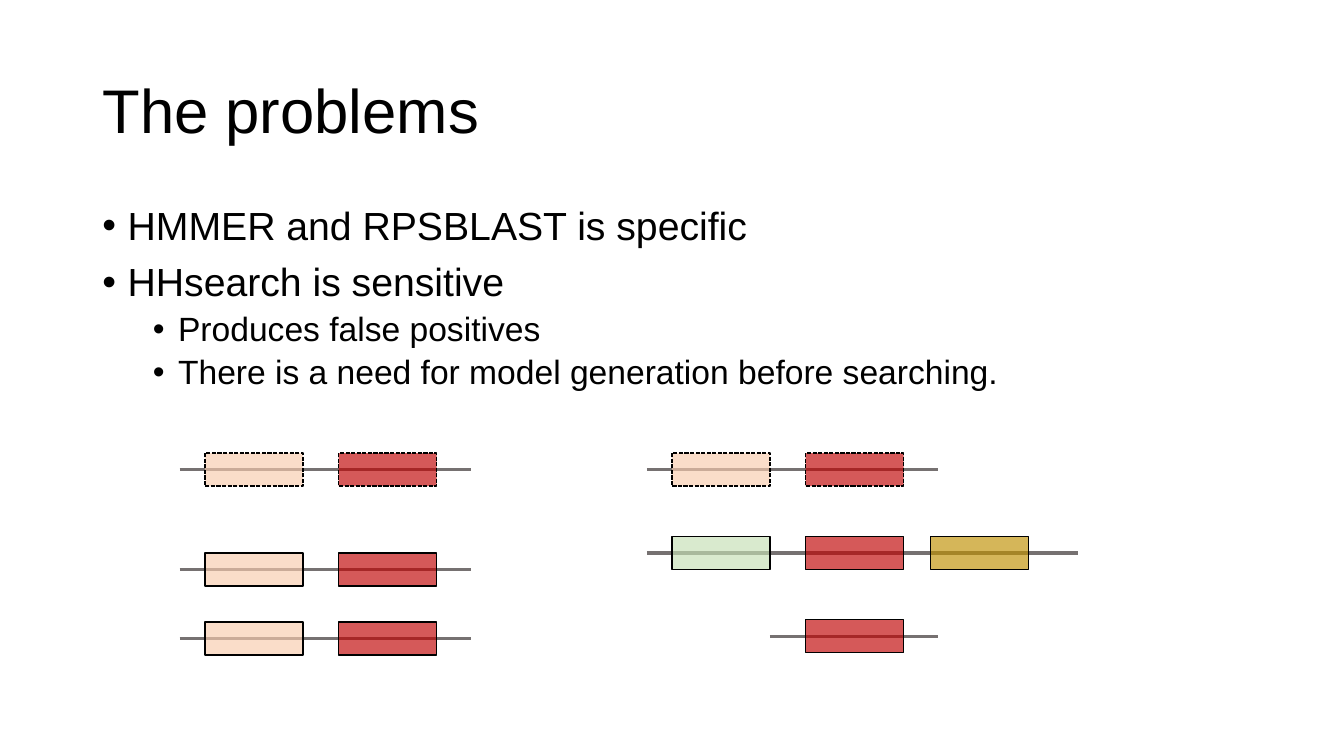
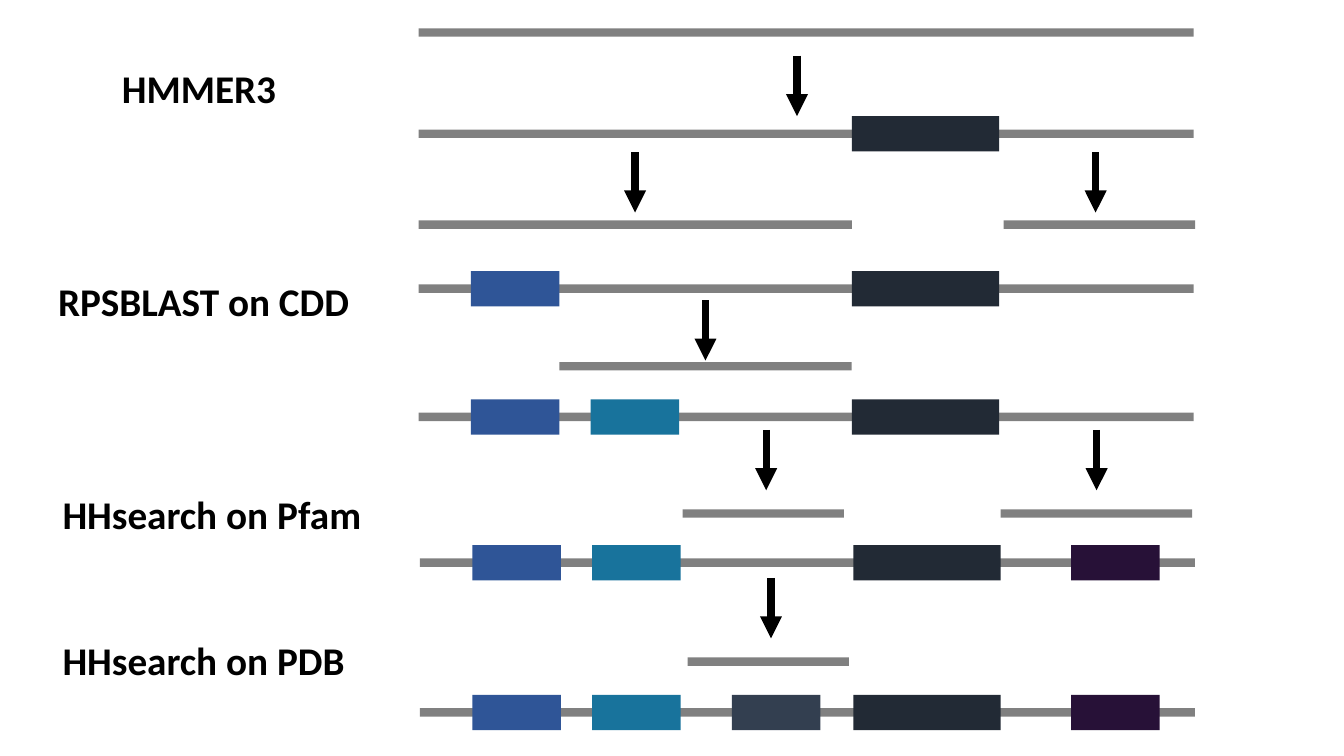
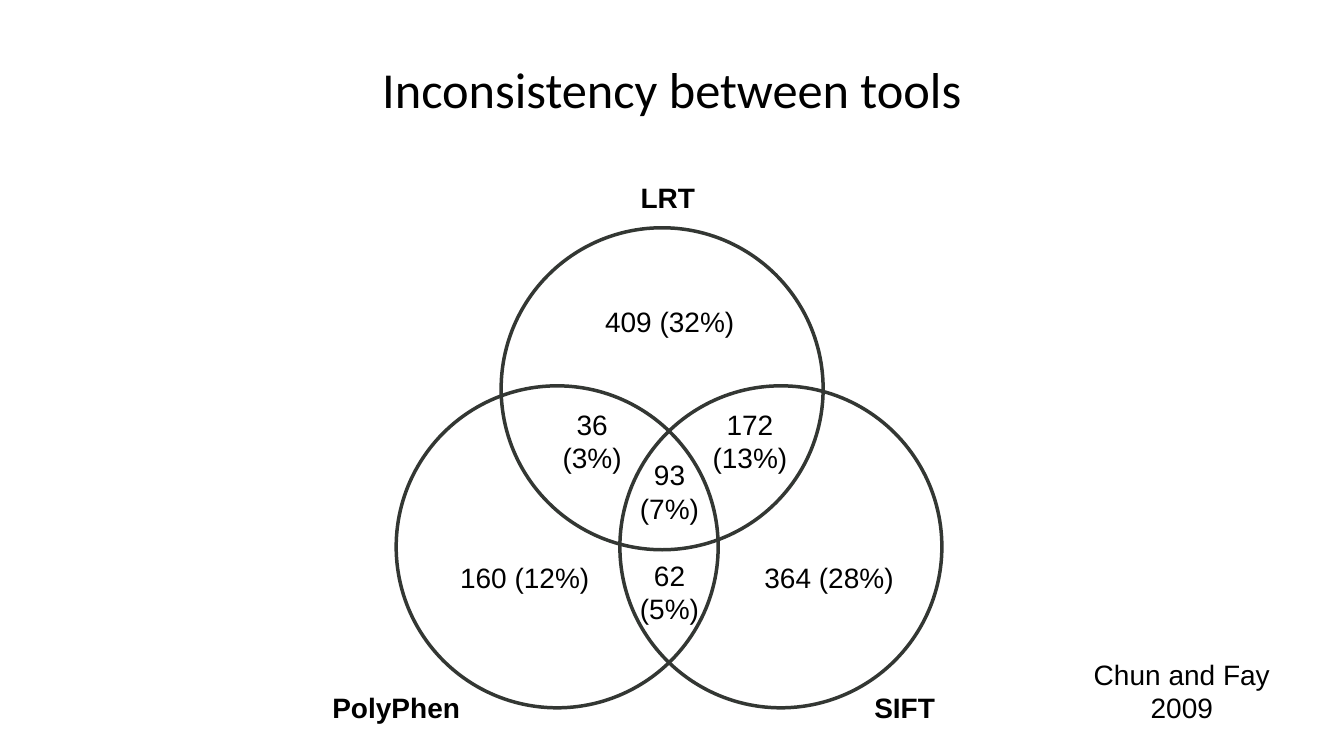
from lxml.etree import SubElement
from pptx import Presentation
from pptx.dml.color import RGBColor
from pptx.enum.dml import MSO_LINE
from pptx.enum.shapes import MSO_CONNECTOR, MSO_SHAPE
from pptx.enum.text import MSO_ANCHOR as Anchor
from pptx.enum.text import MSO_AUTO_SIZE as AutoSize
from pptx.enum.text import PP_ALIGN as Align
from pptx.oxml.ns import qn
from pptx.util import Pt

COLORS = {
    "black": "000000", "strand": "767171", "gray": "808080", "ring": "333733",
    "peach": "F8CBAD", "red": "C00000", "green": "C5E0B4", "gold": "BF9000",
    "night": "222A35", "blue": "2F5597", "teal": "18739C",
    "purple": "271137", "slate": "333F50",
}
TITLE_AND_BODY, TITLE_ONLY, BLANK = 1, 5, 6


def color(name):
    return RGBColor.from_string(COLORS[name])


def write(para, text, font="Arial", size=20, bold=False, align=Align.LEFT,
          spacing=None, before=0):
    """Fill a paragraph with one formatted span."""
    para.alignment = align
    para.space_before = Pt(before)
    if spacing:
        para.line_spacing = spacing
    span = para.add_run()
    span.text = text
    span.font.name, span.font.size, span.font.bold = font, Pt(size), bold
    span.font.color.rgb = color("black")


def add_bullet(para, left, hanging):
    properties = para._p.get_or_add_pPr()
    properties.set("marL", str(Pt(left)))
    properties.set("indent", str(Pt(-hanging)))
    SubElement(properties, qn("a:buChar")).set("char", "•")


class Builder:
    """Holds the deck, its style and the current page."""

    def __init__(self):
        self.deck = Presentation()
        self.deck.slide_width, self.deck.slide_height = Pt(960), Pt(540)
        self.page = None

    def new_page(self, layout):
        layouts = self.deck.slide_layouts
        self.page = self.deck.slides.add_slide(layouts[layout])

    @staticmethod
    def place(box, x, y, width, height):
        box.left, box.top = Pt(x), Pt(y)
        box.width, box.height = Pt(width), Pt(height)

    def title(self, text, frame, anchor=Anchor.MIDDLE, **style):
        box = self.page.shapes.title
        self.place(box, *frame)
        box.text_frame.auto_size = AutoSize.NONE
        box.text_frame.vertical_anchor = anchor
        write(box.text_frame.paragraphs[0], text, **style)

    def bullets(self, items, frame):
        box = self.page.placeholders[1]
        self.place(box, *frame)
        text_frame = box.text_frame
        text_frame.auto_size = AutoSize.NONE
        for index, (level, text) in enumerate(items):
            para = text_frame.add_paragraph() if index else text_frame.paragraphs[0]
            para.level = level
            add_bullet(para, 18 + 36 * level, 18)
            before = (10, 5)[level] if index else 0
            write(para, text, size=28 - 4 * level, spacing=0.9, before=before)

    def label(self, lines, x, y, width, height, **style):
        box = self.page.shapes.add_textbox(Pt(x), Pt(y), Pt(width), Pt(height))
        text_frame = box.text_frame
        text_frame.word_wrap = False
        text_frame.auto_size = AutoSize.SHAPE_TO_FIT_TEXT
        for index, text in enumerate(lines):
            para = text_frame.add_paragraph() if index else text_frame.paragraphs[0]
            write(para, text, **style)

    def centered(self, lines, center, y, width=110, **style):
        self.label(lines, center - width / 2, y, width, 8 + 24 * len(lines),
                   align=Align.CENTER, **style)

    def shape(self, kind, x, y, width, height, fill=None, alpha=None,
              outline=None, weight=1, dashed=False):
        shape = self.page.shapes.add_shape(kind, Pt(x), Pt(y), Pt(width), Pt(height))
        shape.shadow.inherit = False
        if fill:
            shape.fill.solid()
            shape.fill.fore_color.rgb = color(fill)
        else:
            shape.fill.background()
        if alpha:
            tone = shape._element.spPr.find(qn("a:solidFill"))[0]
            SubElement(tone, qn("a:alpha")).set("val", str(alpha * 1000))
        if outline:
            shape.line.color.rgb = color(outline)
            shape.line.width = Pt(weight)
        else:
            shape.line.fill.background()
        if dashed:
            shape.line.dash_style = MSO_LINE.SQUARE_DOT

    def block(self, x, middle, width, height, fill, **style):
        """Rectangle centred on a horizontal line."""
        self.shape(MSO_SHAPE.RECTANGLE, x, middle - height / 2, width, height,
                   fill=fill, **style)

    def line(self, x1, y1, x2, y2, tone, weight, arrow=False):
        line = self.page.shapes.add_connector(
            MSO_CONNECTOR.STRAIGHT, Pt(x1), Pt(y1), Pt(x2), Pt(y2))
        line.line.color.rgb = color(tone)
        line.line.width = Pt(weight)
        if arrow:
            SubElement(line.line._get_or_add_ln(), qn("a:tailEnd")).set("type", "triangle")
        SubElement(line._element.spPr, qn("a:effectLst"))


def build_problems(builder):
    builder.new_page(TITLE_AND_BODY)
    builder.title("The problems", (66, 28.8, 828, 104.4), size=44, spacing=0.9)
    builder.bullets([
        (0, "HMMER and RPSBLAST is specific"),
        (0, "HHsearch is sensitive"),
        (1, "Produces false positives"),
        (1, "There is a need for model generation before searching."),
    ], (66, 144, 828, 342.7))

    # Domain rows: line start, line end, middle, dashed, domains by offset
    pair = {18: "peach", 113.5: "red"}
    triple = {18: "green", 113.5: "red", 202.5: "gold"}
    rows = [
        (128.4, 336.4, 335.5, True, pair),
        (128.4, 336.4, 406.8, False, pair),
        (128.4, 336.4, 456, False, pair),
        (462, 670, 335.5, True, pair),
        (462, 770, 395, False, triple),
        (550, 670, 454.5, False, {25.5: "red"}),
    ]
    for start, end, middle, dashed, domains in rows:
        builder.line(start, middle, end, middle, "strand", 2.5)
        for offset, fill in domains.items():
            builder.block(start + offset, middle, 70, 23.6, fill, alpha=65,
                          outline="black", dashed=dashed)


def build_pipeline(builder):
    builder.new_page(BLANK)

    # Full sequences with the domains found so far
    domains = {"blue": (37.4, 63.2), "teal": (123, 63.2), "slate": (222.8, 63.2),
               "night": (309.5, 105.2), "purple": (465.2, 63.2)}
    sequences = [
        (299, 23.2, []),
        (299, 95.6, ["night"]),
        (299, 206.2, ["blue", "night"]),
        (299, 297.8, ["blue", "teal", "night"]),
        (300, 401.9, ["blue", "teal", "night", "purple"]),
        (300, 508.9, list(domains)),
    ]
    for left, middle, found in sequences:
        builder.block(left, middle, 553.6, 6, "gray")
        for name in found:
            offset, width = domains[name]
            builder.block(left + offset, middle, width, 25.2, name)

    # Remaining pieces that are searched next
    for left, middle, width in [(299, 160.5, 309.6), (717, 160.5, 136.8),
                                (399.6, 261.6, 208.8), (487.6, 366.8, 115.2),
                                (714.8, 366.8, 136.8), (491.2, 472.6, 115.2)]:
        builder.block(left, middle, width, 6, "gray")

    # Arrows
    for x, top in [(569.3, 39.8), (453.6, 108.6), (782.6, 108.6), (503.9, 214.4),
                   (547.3, 307), (783.3, 307), (550.7, 412.8)]:
        builder.line(x, top, x, top + 43.2, "black", 5.25, arrow=True)

    # Step names
    for text, x, y, width in [("HMMER3", 80, 42.4, 126),
                              ("RPSBLAST on CDD", 34.4, 194.8, 224.6),
                              ("HHsearch on Pfam", 37.6, 346.6, 230.4),
                              ("HHsearch on PDB", 37.6, 450.8, 218.2)]:
        builder.label([text], x, y, width, 41, font="Calibri", size=28, bold=True)


def build_venn(builder):
    builder.new_page(TITLE_ONLY)
    builder.title("Inconsistency between tools", (0, 38.2, 960, 51), Anchor.TOP,
                  font="Calibri", size=36, align=Align.CENTER)

    # Circles
    for x, y in [(358, 162.7), (442.8, 275.6), (283, 275.6)]:
        builder.shape(MSO_SHAPE.OVAL, x, y, 230, 230, outline="ring", weight=2.5)

    # Counts
    for lines, center, y in [
        (["409 (32%)"], 478.4, 213.8),
        (["160 (12%)"], 374.8, 396.7),
        (["364 (28%)"], 592.2, 396.7),
        (["62", "(5%)"], 478.2, 395.3),
        (["172", "(13%)"], 535.7, 287.3),
        (["93", "(7%)"], 478.2, 323.3),
        (["36", "(3%)"], 423, 287.3),
    ]:
        builder.centered(lines, center, y)

    # Tool names and source
    for name, center, y in [("LRT", 477, 125.3), ("PolyPhen", 283, 489.6),
                            ("SIFT", 646.2, 489.6)]:
        builder.centered([name], center, y, bold=True)
    builder.centered(["Chun and Fay", "2009"], 844.2, 465.8, width=190)


def main():
    builder = Builder()
    build_problems(builder)
    build_pipeline(builder)
    build_venn(builder)
    builder.deck.save("out.pptx")


if __name__ == "__main__":
    main()
